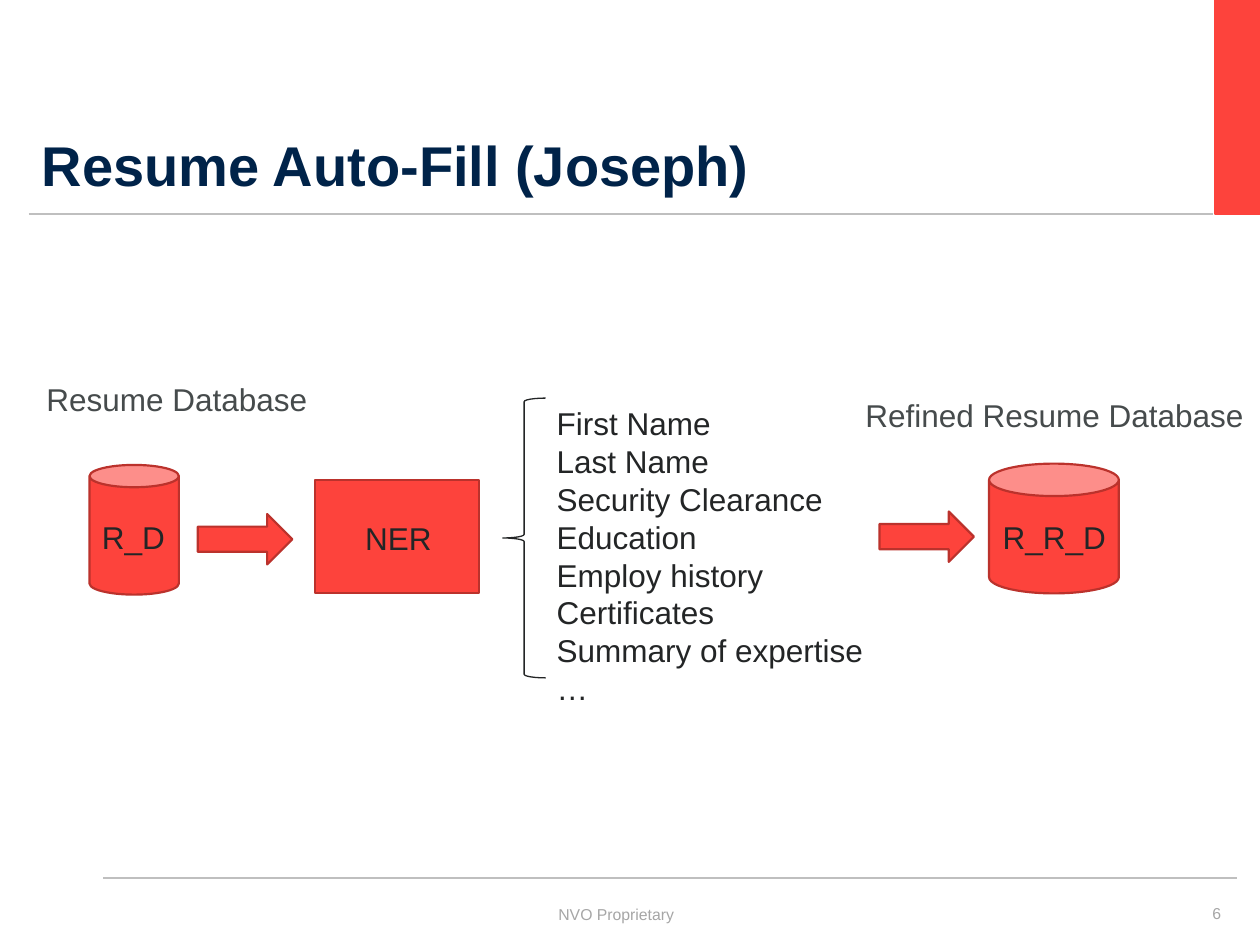
import pptx
import pptx.dml.color
import pptx.enum.shapes
import pptx.enum.text
import pptx.oxml.ns
import pptx.util
from dataclasses import dataclass
from lxml import etree

Inches = pptx.util.Inches
Pt = pptx.util.Pt
Color = pptx.dml.color.RGBColor.from_string
Shape = pptx.enum.shapes.MSO_SHAPE
Align = pptx.enum.text.PP_ALIGN
Anchor = pptx.enum.text.MSO_ANCHOR


@dataclass(frozen=True)
class Theme:
    font: str = "Arial"
    red: str = "FD433C"
    outline: str = "BB322C"
    navy: str = "002349"
    ink: str = "232526"
    label: str = "464B4C"
    rule: str = "BFBFBF"
    footer: str = "A6A6A6"
    title_size: int = 32
    body_size: int = 18
    footer_size: int = 9


theme = Theme()


def format_text(text_frame, size, color, align, anchor, bold=False):
    text_frame.vertical_anchor = anchor
    for paragraph in text_frame.paragraphs:
        paragraph.alignment = align
        for run in paragraph.runs:
            run.font.name = theme.font
            run.font.size = Pt(size)
            run.font.bold = bold
            run.font.color.rgb = Color(color)


def add_figure(kind, box, fill, line, width):
    shape = slide.shapes.add_shape(kind, *map(Inches, box))
    shape.shadow.inherit = False
    if fill:
        shape.fill.solid()
        shape.fill.fore_color.rgb = Color(fill)
    else:
        shape.fill.background()
    shape.line.color.rgb = Color(line)
    shape.line.width = Pt(width)


presentation = pptx.Presentation()
presentation.slide_width = Inches(10)
presentation.slide_height = Inches(7.5)
slide = presentation.slides.add_slide(presentation.slide_layouts[5])

title = slide.shapes.title
title.left, title.top, title.width, title.height = map(Inches, (0.23, 0.21, 9.4, 1.41))
title.text_frame.text = "Resume Auto-Fill (Joseph)"
title.text_frame.paragraphs[0].line_spacing = 0.8
format_text(title.text_frame, theme.title_size, theme.navy, Align.LEFT, Anchor.BOTTOM, True)

add_figure(Shape.RECTANGLE, (9.64, 0, 0.36, 1.7), theme.red, theme.red, 1.25)

for left, right, top, width in ((0.23, 9.63, 1.7, 1.25), (0.82, 9.82, 6.97, 1)):
    rule = slide.shapes.add_connector(
        pptx.enum.shapes.MSO_CONNECTOR.STRAIGHT,
        Inches(left), Inches(top), Inches(right), Inches(top),
    )
    rule.line.color.rgb = Color(theme.rule)
    rule.line.width = Pt(width)
    etree.SubElement(rule._element.spPr, pptx.oxml.ns.qn("a:effectLst"))

for kind, box in (
    (Shape.RECTANGLE, (2.5, 3.81, 1.3, 0.9)),
    (Shape.CAN, (0.71, 3.69, 0.71, 1.03)),
    (Shape.CAN, (7.85, 3.68, 1.03, 1.03)),
    (Shape.RIGHT_ARROW, (1.57, 4.08, 0.75, 0.4)),
    (Shape.RIGHT_ARROW, (6.98, 4.06, 0.75, 0.4)),
):
    add_figure(kind, box, theme.red, theme.outline, 1.25)
add_figure(Shape.LEFT_BRACE, (3.99, 3.16, 0.34, 2.22), None, theme.ink, 0.75)

fields = (
    "First Name", "Last Name", "Security Clearance", "Education",
    "Employ history", "Certificates", "Summary of expertise", "…",
)
for text, box, color in (
    ("\n".join(fields), (4.32, 3.16, 2.66, 2.52), theme.ink),
    ("NER", (2.8, 4.07, 0.73, 0.4), theme.ink),
    ("R_D", (0.71, 4.06, 0.71, 0.4), theme.ink),
    ("R_R_D", (7.86, 4.06, 1.03, 0.4), theme.ink),
    ("Resume Database", (0.27, 2.97, 2.29, 0.4), theme.label),
    ("Refined Resume Database", (6.77, 3.09, 3.23, 0.4), theme.label),
):
    text_frame = slide.shapes.add_textbox(*map(Inches, box)).text_frame
    text_frame.word_wrap = False
    text_frame.auto_size = pptx.enum.text.MSO_AUTO_SIZE.SHAPE_TO_FIT_TEXT
    text_frame.text = text
    format_text(text_frame, theme.body_size, color, Align.LEFT, Anchor.TOP)

for text, box, align in (
    ("NVO Proprietary", (0.89, 7.04, 8, 0.34), Align.CENTER),
    ("6", (8.89, 7.02, 0.9, 0.35), Align.RIGHT),
):
    text_frame = slide.shapes.add_textbox(*map(Inches, box)).text_frame
    text_frame.word_wrap = True
    text_frame.text = text
    format_text(text_frame, theme.footer_size, theme.footer, align, Anchor.BOTTOM)

presentation.save("out.pptx")
